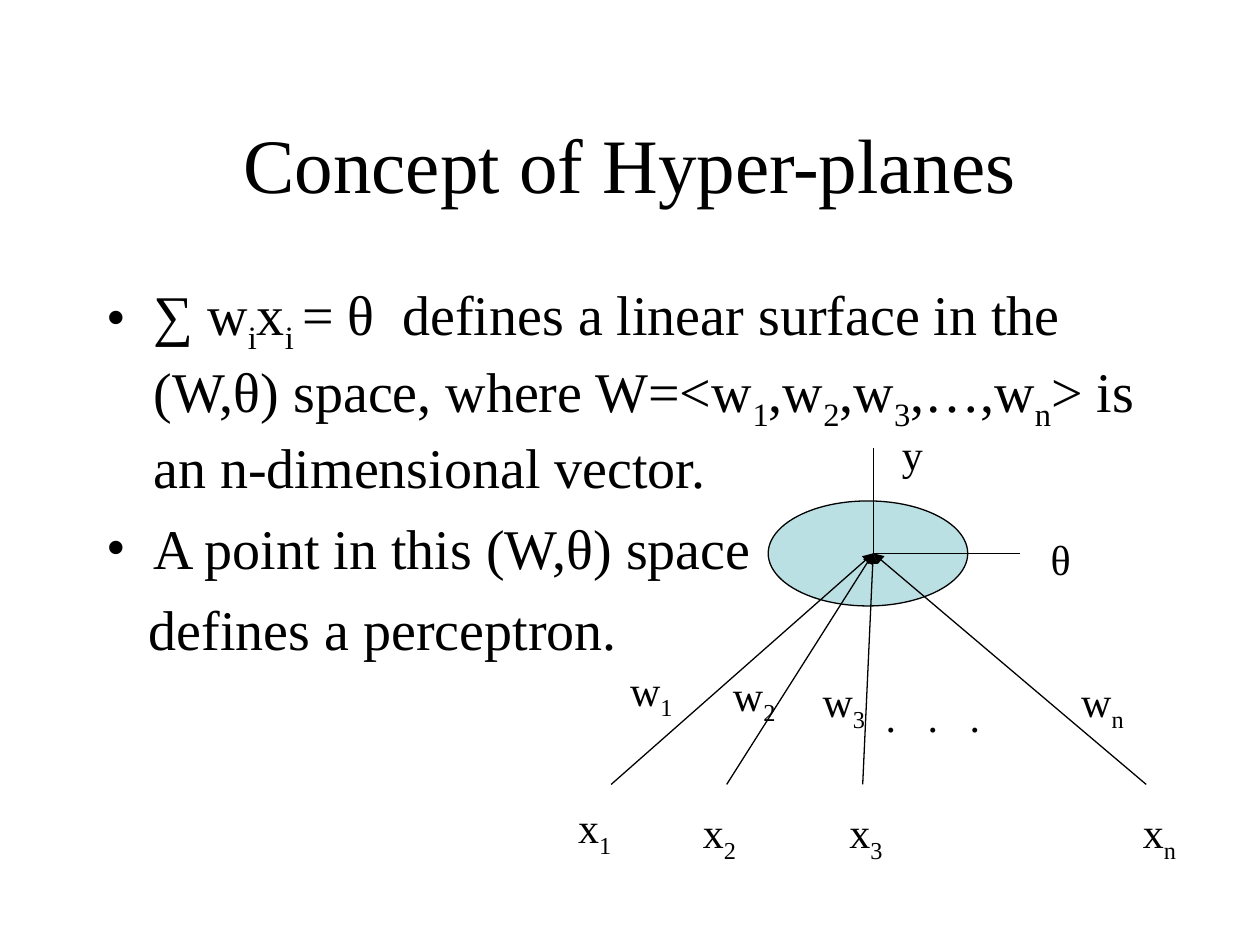
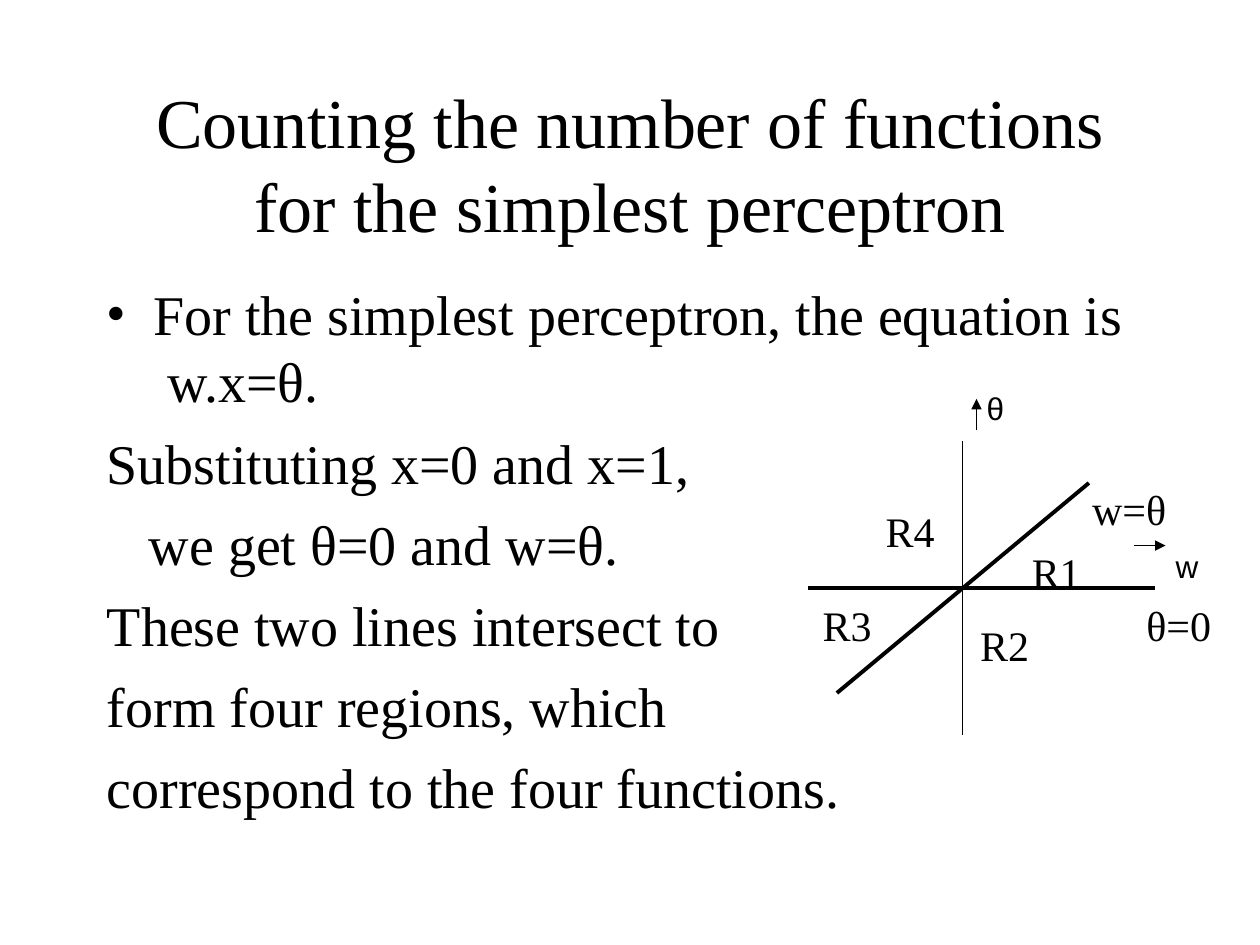
from lxml.etree import SubElement
from pptx import Presentation
from pptx.dml.color import RGBColor
from pptx.enum.shapes import MSO_CONNECTOR as CONN, MSO_SHAPE as SHAPE
from pptx.enum.text import MSO_ANCHOR as ANCHOR, MSO_AUTO_SIZE as FIT, PP_ALIGN as ALIGN
from pptx.oxml.ns import qn
from pptx.util import Pt

BLACK = RGBColor(0x00, 0x00, 0x00)
PALE_BLUE = RGBColor(0xBB, 0xE0, 0xE3)
SERIF, SANS = "Times New Roman", "Arial"
THIN, THICK = 0.74, 2.24
HANG = 26.64  # hanging indent of the body text


def write(p, text, size=24, font=SERIF, color=BLACK, spacing=0):
    """Fill a paragraph; text between ~ marks is subscript, \\v breaks the line."""
    for i, line in enumerate(text.split("\v")):
        if i:
            p.add_line_break()
        for j, part in enumerate(line.split("~")):
            if not part:
                continue
            r = p.add_run()
            r.text = part
            r.font.size, r.font.name = Pt(size), font
            r.font.color.rgb = color
            rPr = r.font._element
            if j % 2:
                rPr.set("baseline", "-25000")
            if spacing:
                rPr.set("spc", str(spacing * 100))


class Deck:
    def __init__(self):
        self.prs = Presentation()
        self.prs.slide_width, self.prs.slide_height = Pt(720), Pt(540)

    def slide(self, title, size):
        s = self.prs.slides.add_slide(self.prs.slide_layouts[6])
        self.shapes = s.shapes
        tf = self.box(54, 48, 612, 90)
        tf.word_wrap = True
        tf.vertical_anchor = ANCHOR.MIDDLE
        p = tf.paragraphs[0]
        p.alignment = ALIGN.CENTER
        write(p, title, size=size)

    def group(self):
        self.shapes = self.shapes.add_group_shape().shapes

    def box(self, x, y, w, h):
        return self.shapes.add_textbox(Pt(x), Pt(y), Pt(w), Pt(h)).text_frame

    def body(self, *items):
        """Each item is (text, bulleted, left indent)."""
        tf = self.box(54, 156.25, 612, 324)
        tf.word_wrap = True
        for i, (text, bulleted, left) in enumerate(items):
            p = tf.add_paragraph() if i else tf.paragraphs[0]
            p.space_before = Pt(8)
            pPr = p._p.get_or_add_pPr()
            pPr.set("marL", str(Pt(left)))
            pPr.set("indent", str(Pt(-HANG if bulleted else 0)))
            if bulleted:
                SubElement(SubElement(pPr, qn("a:buClr")), qn("a:srgbClr"), val=str(BLACK))
                SubElement(pPr, qn("a:buFont"), typeface=SERIF)
                SubElement(pPr, qn("a:buChar"), char="•")
            write(p, text, size=32)

    def fit(self, tf, text, **fmt):
        """One unwrapped line in a frame that fits its text."""
        tf.word_wrap = False
        tf.auto_size = FIT.SHAPE_TO_FIT_TEXT
        tf.vertical_anchor = ANCHOR.TOP
        p = tf.paragraphs[0]
        p.alignment = ALIGN.LEFT
        write(p, text, **fmt)

    def label(self, text, x, y, w, **fmt):
        h = 40.5 if "~" in text else 36
        sp = self.shapes.add_shape(SHAPE.ROUNDED_RECTANGLE, Pt(x), Pt(y), Pt(w), Pt(h))
        sp.adjustments[0] = 0
        sp.shadow.inherit = False
        sp.fill.background()
        sp.line.fill.background()
        self.fit(sp.text_frame, text, **fmt)

    def axis_name(self, text, x, y, w):
        self.fit(self.box(x, y, w, 29), text, size=18, font=SANS)

    def ellipse(self, x, y, w, h, fill):
        sp = self.shapes.add_shape(SHAPE.OVAL, Pt(x), Pt(y), Pt(w), Pt(h))
        sp.shadow.inherit = False
        sp.fill.solid()
        sp.fill.fore_color.rgb = fill
        sp.line.color.rgb, sp.line.width = BLACK, Pt(THIN)

    def line(self, start, end, width=THIN, arrow=False):
        c = self.shapes.add_connector(CONN.STRAIGHT, *map(Pt, start + end))
        c.line.color.rgb, c.line.width = BLACK, Pt(width)
        spPr = c.element.spPr
        if arrow:
            SubElement(spPr.find(qn("a:ln")), qn("a:tailEnd"), type="triangle")
        SubElement(spPr, qn("a:effectLst"))


deck = Deck()

# Slide 1: hyper-planes and the perceptron
deck.slide("Concept of Hyper-planes", 44)
deck.body(
    ("∑ w~i~x~i ~= θ\u2002defines a linear surface in the (W,θ) space, "
     "where W=<w~1~,w~2~,w~3~,…,w~n~> is an n-dimensional vector.", True, HANG),
    ("A point in this (W,θ) space", True, HANG),
    ("defines a perceptron.", False, 24))

# Neuron with its output and threshold
deck.group()
node = (499, 316.2)
deck.ellipse(439, 286.25, 114, 60, PALE_BLUE)
deck.line((499, 256.25), node)
deck.line(node, (583, 316.2))
deck.label("y", 508.25, 241.25, 26)
deck.label("θ", 593.25, 301.25, 26)

# Weighted inputs: subscript, foot of the arrow, weight label, input label
inputs = [("1", 349.25, (353, 376), (323.25, 454.5)),
          ("2", 415.25, (411.75, 379), (394.5, 457.5)),
          ("3", 493, (463, 382.5), (478.25, 457.5)),
          ("n", 655, (610.75, 382.5), (646, 457.5))]
for sub, foot, weight_at, input_at in inputs:
    deck.line((foot, 448.25), node, arrow=True)
    deck.label(f"w~{sub}~", *weight_at, 39.5)
    deck.label(f"x~{sub}~", *input_at, 34)
deck.label(". . .", 499, 391.25, 74, spacing=6)

# Slide 2: regions of the simplest perceptron
deck.slide("Counting the number of functions for the simplest perceptron", 40)
deck.body(
    ("For the simplest perceptron, the equation is\v w.x=θ.", True, HANG),
    ("Substituting x=0 and x=1,", False, 0),
    ("we get θ=0 and w=θ.", False, 24),
    ("These two lines intersect to", False, 0),
    ("form four regions, which", False, 0),
    ("correspond to the four functions.", False, 0))

# The two dividing lines and the vertical axis
deck.line((462, 336), (660, 336), THICK)
deck.line((550.2, 252), (550.2, 420))
deck.line((478.25, 396), (622.25, 276), THICK)
deck.label("θ=0", 648, 339.25, 52)
deck.label("w=θ", 617, 273, 57.5)

# Region names
regions = [(582.5, 309), (553, 350.75), (463, 339.25), (499, 285.25)]
for n, (x, y) in enumerate(regions, 1):
    deck.label(f"R{n}", x, y, 42.5)

# Axis directions
deck.axis_name("θ", 556.75, 219, 24.5)
deck.line((558, 246), (558, 228), arrow=True)
deck.axis_name("w", 664.75, 309, 27.5)
deck.line((648, 311.8), (666, 311.8), arrow=True)

deck.prs.save("out.pptx")
